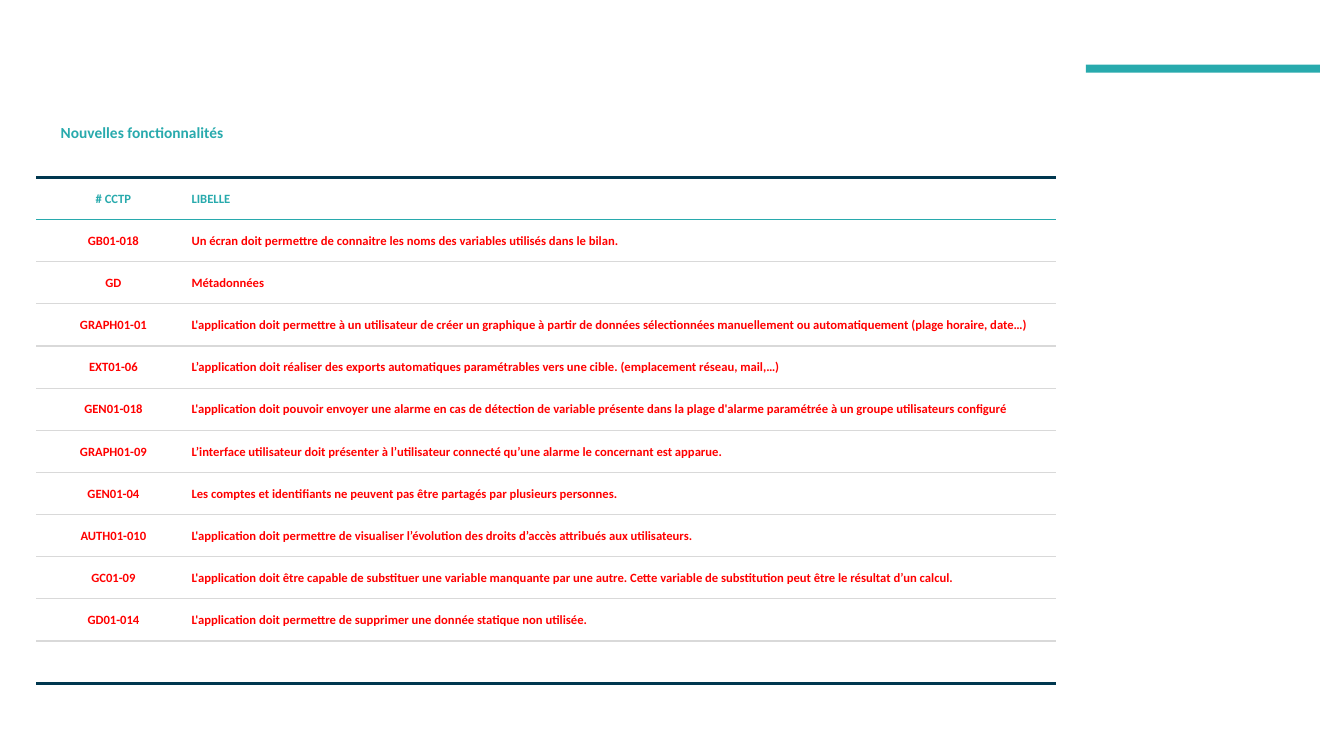
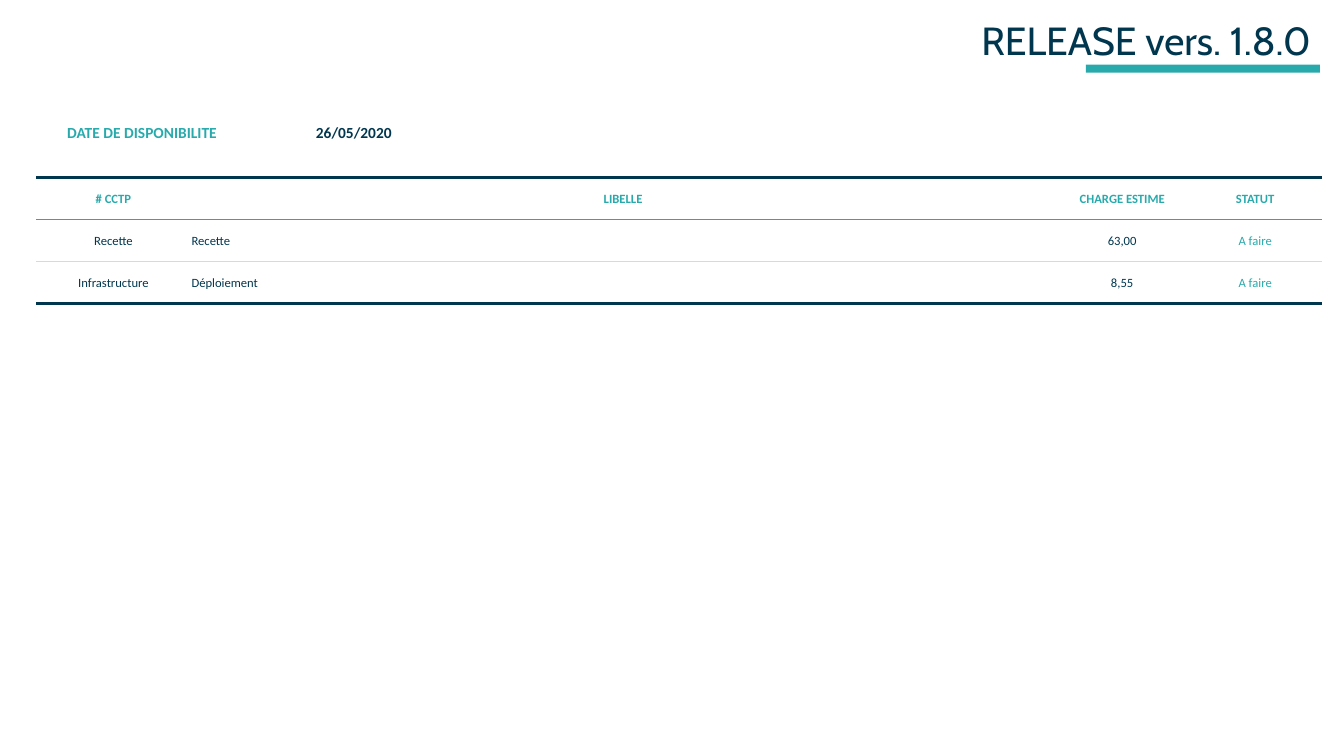
from dataclasses import dataclass

from lxml import etree
from pptx import Presentation
from pptx.dml.color import RGBColor
from pptx.enum.shapes import MSO_SHAPE as Shape
from pptx.enum.text import MSO_ANCHOR as Anchor, PP_ALIGN as Align
from pptx.oxml.ns import qn
from pptx.util import Inches, Pt

COLORS = {
    "navy": "00374F",
    "teal": "28AAAD",
    "red": "FF0000",
    "rule": "D9D9D9",
    "white": "FFFFFF",
}
PLAIN_TABLE = "{2D5ABB26-0587-4C30-8999-92F81FD0307C}"
LEFT = 0.36
EDGE = ("navy", 2.25)
HEADER_RULE = ("teal", 1)
ROW_RULE = ("rule", 1)


@dataclass
class Column:
    heading: str
    width: float
    color: str
    align: Align = Align.CENTER
    heading_align: Align = Align.CENTER


class ReleaseDeck:
    """Holds the shared style and the slide being filled."""

    def __init__(self):
        self.deck = Presentation()
        self.deck.slide_width = Inches(13.33)
        self.deck.slide_height = Inches(7.5)
        self.page = None

    def color(self, name):
        return RGBColor.from_string(COLORS[name])

    def add_page(self):
        self.page = self.deck.slides.add_slide(self.deck.slide_layouts[6])
        band = self.page.shapes.add_shape(
            Shape.RECTANGLE, Inches(10.77), Inches(0.64), Inches(2.32), Inches(0.08))
        band.shadow.inherit = False
        band.fill.solid()
        band.fill.fore_color.rgb = self.color("teal")
        band.line.fill.background()

    def set_text(self, frame, text, size, color, align, bold=False, font="Calibri"):
        para = frame.paragraphs[0]
        para.text = text
        para.alignment = align
        for span in para.runs:
            span.font.name = font
            span.font.size = Pt(size)
            span.font.bold = bold
            span.font.color.rgb = self.color(color)
        return para

    def add_title(self, text):
        box = self.page.shapes.add_textbox(
            Inches(2.54), 0, Inches(10.56), Inches(0.68))
        frame = box.text_frame
        frame.word_wrap = True
        frame.vertical_anchor = Anchor.BOTTOM
        para = self.set_text(frame, text, 28, "navy", Align.RIGHT, font="Cabin")
        para.line_spacing = 0.9

    def add_grid(self, top, height, row_count, widths):
        """Add an unstyled table with equal rows at the left margin."""
        graphic = self.page.shapes.add_table(
            row_count, len(widths), Inches(LEFT), Inches(top),
            Inches(sum(widths)), Inches(height))
        graphic.element.find(".//" + qn("a:tableStyleId")).text = PLAIN_TABLE
        table = graphic.table
        table.first_row = table.horz_banding = False
        for column, width in zip(table.columns, widths):
            column.width = Inches(width)
        for row in table.rows:
            row.height = Inches(height / row_count)
        for cell in table.iter_cells():
            cell.vertical_anchor = Anchor.MIDDLE
            cell.margin_left = cell.margin_right = cell.margin_top = Inches(0.01)
            cell.margin_bottom = 0
        return table

    def add_border(self, cell, tag, rule):
        color, width = rule
        line = etree.SubElement(
            cell._tc.get_or_add_tcPr(), qn(tag), w=str(Pt(width)))
        fill = etree.SubElement(line, qn("a:solidFill"))
        etree.SubElement(fill, qn("a:srgbClr"), val=COLORS[color])

    def add_caption(self, *parts):
        """Add the line above the main table from (text, colour) pairs."""
        table = self.add_grid(1.11, 0.41, 1, [2.1, 2.1])
        for cell, (text, color) in zip(table.iter_cells(), parts):
            self.set_text(cell.text_frame, text, 11, color, Align.CENTER, bold=True)
        for cell in table.iter_cells():
            cell.fill.background()

    def add_requirements(self, columns, rows, height, bold):
        table = self.add_grid(
            1.76, height, len(rows) + 1, [column.width for column in columns])
        rules = [EDGE, HEADER_RULE] + [ROW_RULE] * (len(rows) - 1) + [EDGE]
        lines = [[column.heading for column in columns]] + rows
        for row, texts in enumerate(lines):
            for index, (column, text) in enumerate(zip(columns, texts)):
                cell = table.cell(row, index)
                self.add_border(cell, "a:lnT", rules[row])
                self.add_border(cell, "a:lnB", rules[row + 1])
                cell.fill.solid()
                cell.fill.fore_color.rgb = self.color("white")
                if row == 0:
                    self.set_text(cell.text_frame, text, 9, "teal",
                                  column.heading_align, bold=True)
                else:
                    self.set_text(cell.text_frame, text, 9, column.color,
                                  column.align, bold=bold)


FEATURES = [
    ["GB01-018", "Un écran doit permettre de connaitre les noms des variables utilisés dans le bilan."],
    ["GD", "Métadonnées"],
    ["GRAPH01-01", "L'application doit permettre à un utilisateur de créer un graphique à partir de "
                   "données sélectionnées manuellement ou automatiquement (plage horaire, date…)"],
    ["EXT01-06", "L’application doit réaliser des exports automatiques paramétrables vers une cible. "
                 "(emplacement réseau, mail,…)"],
    ["GEN01-018", "L'application doit pouvoir envoyer une alarme en cas de détection de variable "
                  "présente dans la plage d'alarme paramétrée à un groupe utilisateurs configuré"],
    ["GRAPH01-09", "L’interface utilisateur doit présenter à l’utilisateur connecté qu’une alarme "
                   "le concernant est apparue."],
    ["GEN01-04", "Les comptes et identifiants ne peuvent pas être partagés par plusieurs personnes."],
    ["AUTH01-010", "L'application doit permettre de visualiser l’évolution des droits d’accès "
                   "attribués aux utilisateurs."],
    ["GC01-09", "L'application doit être capable de substituer une variable manquante par une autre. "
                "Cette variable de substitution peut être le résultat d’un calcul."],
    ["GD01-014", "L'application doit permettre de supprimer une donnée statique non utilisée."],
    ["", ""],
]
TASKS = [
    ["Recette", "Recette", "63,00", "A faire"],
    ["Infrastructure", "Déploiement", "8,55", "A faire"],
]


def main():
    release = ReleaseDeck()

    release.add_page()
    release.add_requirements(
        [Column("# CCTP", 1.53, "red"),
         Column("LIBELLE", 8.58, "red", Align.LEFT, Align.LEFT)],
        FEATURES, height=5.02, bold=True)
    release.add_caption(("Nouvelles fonctionnalités", "teal"))

    release.add_page()
    release.add_title("RELEASE vers. 1.8.0")
    release.add_requirements(
        [Column("# CCTP", 1.53, "navy"),
         Column("LIBELLE", 8.58, "navy", Align.LEFT),
         Column("CHARGE ESTIME", 1.32, "navy"),
         Column("STATUT", 1.32, "teal")],
        TASKS, height=1.25, bold=False)
    release.add_caption(("DATE DE DISPONIBILITE", "teal"), ("26/05/2020", "navy"))

    release.deck.save("out.pptx")


if __name__ == "__main__":
    main()
